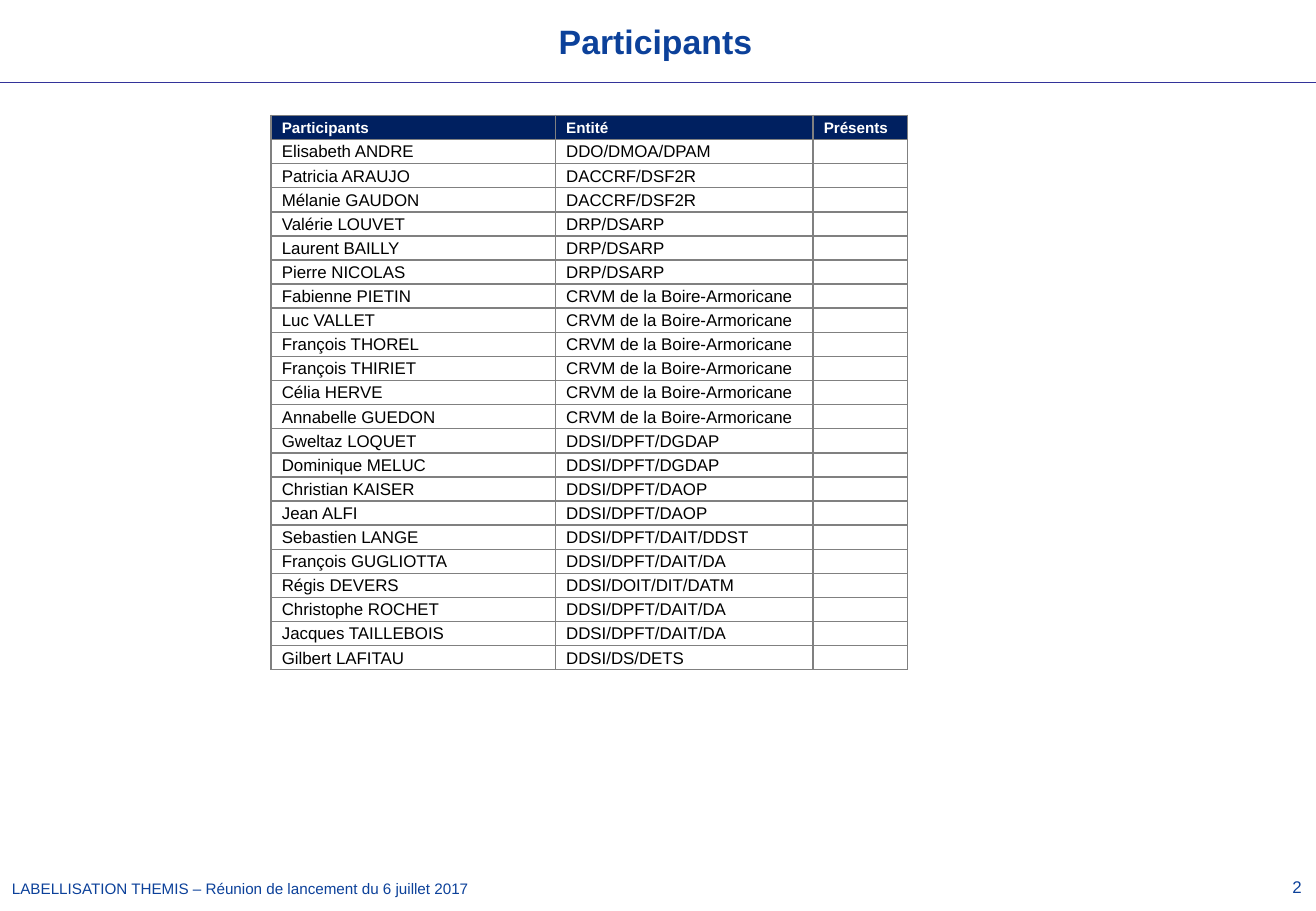
from lxml import etree
from pptx import Presentation
from pptx.dml.color import RGBColor
from pptx.enum.shapes import MSO_CONNECTOR
from pptx.enum.text import MSO_ANCHOR, MSO_AUTO_SIZE, PP_ALIGN
from pptx.oxml.ns import qn
from pptx.util import Pt

TITLE = "Participants"
FOOTER = "LABELLISATION THEMIS – Réunion de lancement du 6 juillet 2017"
PAGE = "2"
HEAD = ("Participants", "Entité", "Présents")
FUND = "CRVM de la Boire-Armoricane"
PEOPLE = [
    ("Elisabeth ANDRE", "DDO/DMOA/DPAM"),
    ("Patricia ARAUJO", "DACCRF/DSF2R"),
    ("Mélanie GAUDON", "DACCRF/DSF2R"),
    ("Valérie LOUVET", "DRP/DSARP"),
    ("Laurent BAILLY", "DRP/DSARP"),
    ("Pierre NICOLAS", "DRP/DSARP"),
    ("Fabienne PIETIN", FUND),
    ("Luc VALLET", FUND),
    ("François THOREL", FUND),
    ("François THIRIET", FUND),
    ("Célia HERVE", FUND),
    ("Annabelle GUEDON", FUND),
    ("Gweltaz LOQUET", "DDSI/DPFT/DGDAP"),
    ("Dominique MELUC", "DDSI/DPFT/DGDAP"),
    ("Christian KAISER", "DDSI/DPFT/DAOP"),
    ("Jean ALFI", "DDSI/DPFT/DAOP"),
    ("Sebastien LANGE", "DDSI/DPFT/DAIT/DDST"),
    ("François GUGLIOTTA", "DDSI/DPFT/DAIT/DA"),
    ("Régis DEVERS", "DDSI/DOIT/DIT/DATM"),
    ("Christophe ROCHET", "DDSI/DPFT/DAIT/DA"),
    ("Jacques TAILLEBOIS", "DDSI/DPFT/DAIT/DA"),
    ("Gilbert LAFITAU", "DDSI/DS/DETS"),
]

PX = 9144
WIDE, HIGH = 1083, 750
COLS = (234, 212, 78)
DEEP = 457
FONT = "Arial"
BLUE = RGBColor(0x0C, 0x41, 0x9A)
NAVY = RGBColor(0x00, 0x20, 0x60)
RULE = RGBColor(0x33, 0x33, 0x99)
GREY = RGBColor(0x80, 0x80, 0x80)
WHITE = RGBColor(0xFF, 0xFF, 0xFF)
BLACK = RGBColor(0x00, 0x00, 0x00)
LEFT, MID, RIGHT = PP_ALIGN.LEFT, PP_ALIGN.CENTER, PP_ALIGN.RIGHT
TOP, CENTER = MSO_ANCHOR.TOP, MSO_ANCHOR.MIDDLE
FIXED = MSO_AUTO_SIZE.NONE
LINE = MSO_CONNECTOR.STRAIGHT


def px(*nums):
    return [num * PX for num in nums]


def write(para, text, size, color, bold=False, align=LEFT):
    para.alignment = align
    run = para.add_run()
    run.text = text
    font = run.font
    font.name, font.size, font.bold = FONT, Pt(size), bold
    font.color.rgb = color


def label(shape, text, size, align, anchor=TOP, bold=False):
    frame = shape.text_frame
    frame.word_wrap = True
    frame.auto_size = FIXED
    frame.vertical_anchor = anchor
    frame.margin_left, frame.margin_right = px(10, 10)
    frame.margin_top, frame.margin_bottom = px(5, 5)
    write(frame.paragraphs[0], text, size, BLUE, bold, align)


def border(cell):
    props = cell._tc.get_or_add_tcPr()
    for spot, side in enumerate(("lnL", "lnR", "lnT", "lnB")):
        edge = etree.Element(qn("a:" + side), w=str(Pt(1)))
        fill = etree.SubElement(edge, qn("a:solidFill"))
        etree.SubElement(fill, qn("a:srgbClr"), val=str(GREY))
        props.insert(spot, edge)


def fill_cell(cell, text, head):
    cell.margin_left, cell.margin_right = px(9, 1)
    cell.margin_top, cell.margin_bottom = px(1, 0)
    cell.vertical_anchor = CENTER
    if head:
        cell.fill.solid()
        cell.fill.fore_color.rgb = NAVY
    else:
        cell.fill.background()
    border(cell)
    para = cell.text_frame.paragraphs[0]
    if text:
        write(para, text, 9 if head else 10, WHITE if head else BLACK, head)
    else:
        etree.SubElement(para._p, qn("a:endParaRPr"), sz="1000")


def main():
    deck = Presentation()
    deck.slide_width, deck.slide_height = px(WIDE, HIGH)
    slide = deck.slides.add_slide(deck.slide_layouts[5])
    shapes = slide.shapes

    title = shapes.title
    title.left, title.top, title.width, title.height = px(-2, 3, WIDE, 61)
    label(title, TITLE, 20, MID, CENTER, True)

    rule = shapes.add_connector(LINE, *px(0, 68, WIDE, 68))
    rule.line.color.rgb = RULE
    rule.line.width = Pt(0.75)
    etree.SubElement(rule._element.spPr, qn("a:effectLst"))

    label(shapes.add_textbox(*px(0, 719, 644, 34)), FOOTER, 9, LEFT)
    label(shapes.add_textbox(*px(977, 717, 104, 34)), PAGE, 10, RIGHT)

    rows = [HEAD] + [(name, unit, "") for name, unit in PEOPLE]
    size = px(223, 95, sum(COLS), DEEP)
    table = shapes.add_table(len(rows), len(COLS), *size).table
    table.horz_banding = False
    for col, wide in zip(table.columns, COLS):
        col.width = wide * PX
    for i, texts in enumerate(rows):
        table.rows[i].height = DEEP * PX // len(rows)
        for j, text in enumerate(texts):
            fill_cell(table.cell(i, j), text, i == 0)

    deck.save("out.pptx")


if __name__ == "__main__":
    main()
